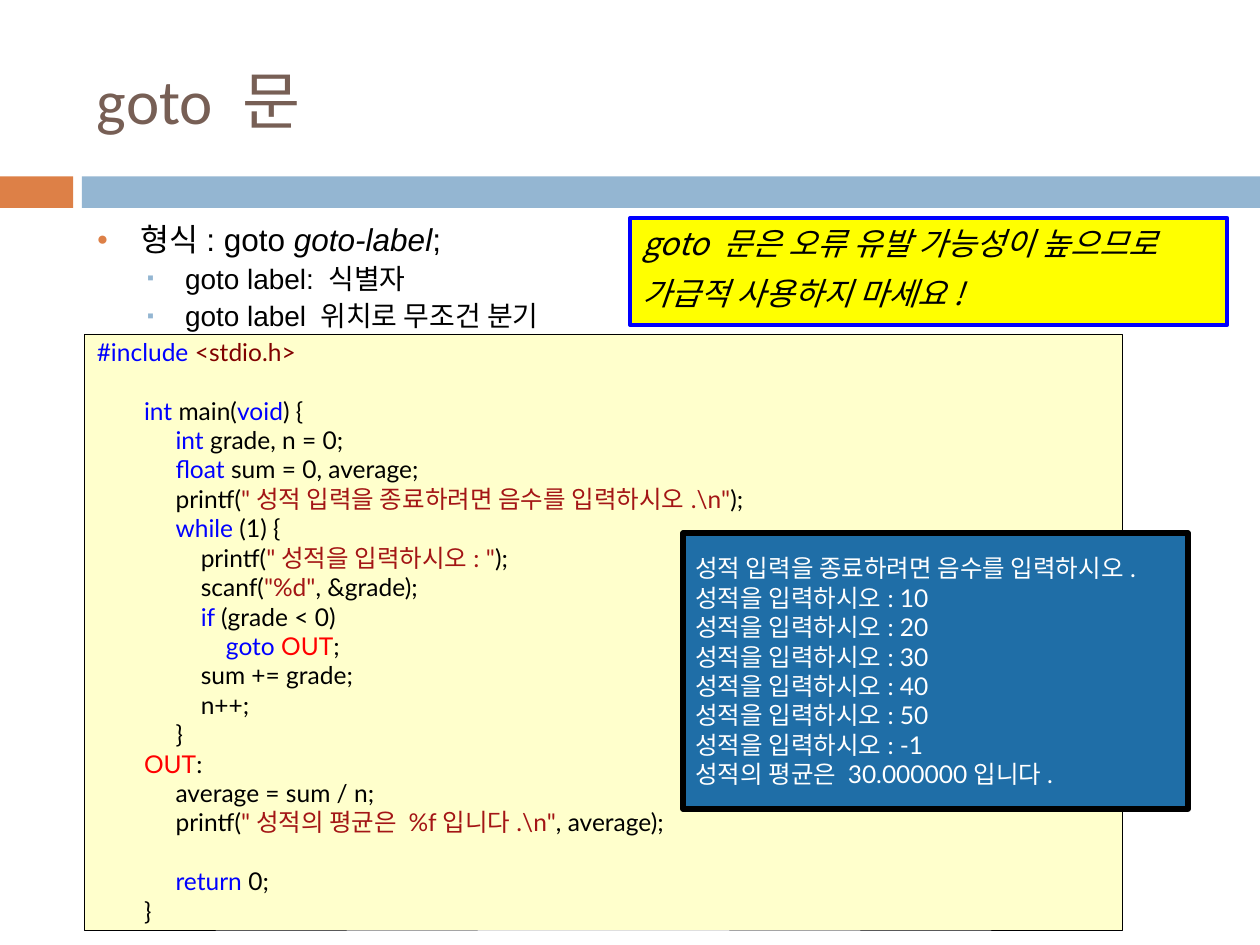
import dataclasses

import lxml.etree
import pptx
import pptx.dml.color
import pptx.enum.shapes
import pptx.enum.text
import pptx.oxml.ns
import pptx.util

COLUMNS, ROWS = 100, 75
CELL = pptx.util.Inches(0.1)
ANCHOR = pptx.enum.text.MSO_ANCHOR


@dataclasses.dataclass(frozen=True)
class Theme:
    orange: str = "DD8047"
    sky: str = "94B6D2"
    brown: str = "775F55"
    cream: str = "FFFFCC"
    yellow: str = "FFFF00"
    console: str = "1F6EA7"
    black: str = "000000"
    white: str = "FFFFFF"
    keyword: str = "0000FF"
    header: str = "800000"
    string: str = "A31515"
    label: str = "FF0000"
    title_size: float = 36
    text_size: float = 18
    sub_size: float = 16
    code_size: float = 14
    title_font: str = "Calibri"
    body_font: str = "Arial"
    code_font: str = "Lato"
    korean_font: str = "Noto Sans CJK KR"


THEME = Theme()
K, S, L = THEME.keyword, THEME.string, THEME.label
CODE_PITCH = 16.8
CODE_LEADING = 15

# Each line: source column, then coloured pieces; None is an empty line.
CODE = [
    (0, ("int", K), " main(", ("void", K), ") {"),
    (5, ("int", K), " grade, n = 0;"),
    (5, ("float", K), " sum = 0, average;"),
    (5, "printf(", ("\"성적 입력을 종료하려면 음수를 입력하시오.\\n\"", S), ");"),
    (5, ("while", K), " (1) {"),
    (9, "printf(", ("\"성적을 입력하시오: \"", S), ");"),
    (9, "scanf(", ("\"%d\"", S), ", &grade);"),
    (9, ("if ", K), "(grade < 0)"),
    (13, ("goto ", K), ("OUT", L), ";"),
    (9, "sum += grade;"),
    (9, "n++;"),
    (5, "}"),
    (0, ("OUT", L), ":"),
    (5, "average = sum / n;"),
    (5, "printf(", ("\"성적의 평균은 %f입니다.\\n\"", S), ", average);"),
    None,
    (5, ("return", K), " 0;"),
    (0, "}"),
]
CONSOLE = [
    "성적 입력을 종료하려면 음수를 입력하시오.",
    *(f"성적을 입력하시오: {grade}" for grade in (10, 20, 30, 40, 50, -1)),
    "성적의 평균은 30.000000입니다.",
]


def rgb(color):
    return pptx.dml.color.RGBColor.from_string(color)


def cells(*counts):
    return [round(count * CELL) for count in counts]


def apply(target, formats):
    for attribute, value in formats.items():
        setattr(target, attribute, value)


def add_panel(slide, area, fill, line=None, line_width=0):
    panel = slide.shapes.add_shape(
        pptx.enum.shapes.MSO_SHAPE.RECTANGLE, *cells(*area))
    panel.shadow.inherit = False
    panel.fill.solid()
    panel.fill.fore_color.rgb = rgb(fill)
    if line:
        panel.line.color.rgb = rgb(line)
        panel.line.width = pptx.util.Pt(line_width)
    else:
        panel.line.fill.background()
    return panel.text_frame


def add_text_area(slide, area):
    return slide.shapes.add_textbox(*cells(*area)).text_frame


def write(frame, paragraphs, anchor=ANCHOR.TOP):
    """Fill a frame with (pieces, font, paragraph format, indent, bullet)."""
    apply(frame, {"word_wrap": True, "vertical_anchor": anchor})
    for number, (pieces, font, spacing, indent, bullet) in enumerate(paragraphs):
        paragraph = frame.add_paragraph() if number else frame.paragraphs[0]
        paragraph.alignment = pptx.enum.text.PP_ALIGN.LEFT
        apply(paragraph, {key: pptx.util.Pt(value)
                          for key, value in spacing.items()})
        set_indent(paragraph, *indent)
        if bullet:
            add_bullet(paragraph, *bullet)
        for piece in pieces:
            add_run(paragraph, piece, **font)


def set_indent(paragraph, left=0, first=0):
    properties = paragraph._p.get_or_add_pPr()
    properties.set("marL", str(round(left * CELL)))
    properties.set("indent", str(round(first * CELL)))


def add_bullet(paragraph, mark, color, percent):
    properties = paragraph._p.get_or_add_pPr()

    def add(parent, tag, **values):
        child = lxml.etree.SubElement(parent, pptx.oxml.ns.qn(tag))
        for key, value in values.items():
            child.set(key, value)
        return child

    add(add(properties, "a:buClr"), "a:srgbClr", val=color)
    add(properties, "a:buSzPct", val=str(percent * 1000))
    add(properties, "a:buFont", typeface=THEME.body_font)
    add(properties, "a:buChar", char=mark)


def add_run(paragraph, piece, name, size, color=THEME.black, italic=False):
    """A piece is a text, or a text with its own colour."""
    text, color = (piece, color) if isinstance(piece, str) else piece
    run = paragraph.add_run()
    run.text = text
    apply(run.font, {"name": name, "size": pptx.util.Pt(size), "italic": italic})
    run.font.color.rgb = rgb(color)
    east_asian = lxml.etree.SubElement(
        run._r.get_or_add_rPr(), pptx.oxml.ns.qn("a:ea"))
    east_asian.set("typeface", THEME.korean_font)


def add_title(slide):
    font = {"name": THEME.title_font, "size": THEME.title_size,
            "color": THEME.brown}
    write(add_text_area(slide, (6.7, 2.5, 89.2, 10.8)),
          [(["goto 문"], font, {}, (), None)], ANCHOR.MIDDLE)


def add_code(slide):
    font = {"name": THEME.code_font, "size": THEME.code_size}
    gap = CODE_PITCH - CODE_LEADING
    include = [("#include ", K), ("<stdio.h>", THEME.header)]
    paragraphs = [(include, font, {"line_spacing": CODE_LEADING}, (), None)]
    before = gap + CODE_PITCH
    for line in CODE:
        if line is None:
            before += CODE_PITCH
            continue
        column, *pieces = line
        spacing = {"line_spacing": CODE_LEADING, "space_before": before}
        paragraphs.append((pieces, font, spacing, (3.75 + column / 2,), None))
        before = gap
    write(add_panel(slide, (6.7, 26.5, 82.4, 47.3), THEME.cream,
                    THEME.black, 0.25), paragraphs)


def add_console(slide):
    font = {"name": THEME.code_font, "size": THEME.code_size,
            "color": THEME.white}
    spacing = {"line_spacing": CODE_PITCH}
    write(add_panel(slide, (54.2, 42.3, 40.1, 21.9), THEME.console,
                    THEME.black, 3),
          [([line], font, spacing, (), None) for line in CONSOLE],
          ANCHOR.MIDDLE)


def add_syntax(slide):
    main_font = {"name": THEME.body_font, "size": THEME.text_size}
    sub_font = {**main_font, "size": THEME.sub_size}
    frame = add_text_area(slide, (6.7, 16.9, 40.8, 10.8))
    write(frame, [
        (["형식: goto ", "goto-label", ";"], main_font, {"line_spacing": 22},
         (3.5, -3.5), ("●", THEME.orange, 60)),
        *(([note], sub_font, {"line_spacing": 21.4}, (7, -3),
           ("▪", THEME.sky, 70))
          for note in ("goto label: 식별자", "goto label 위치로 무조건 분기")),
    ])
    frame.paragraphs[0].runs[1].font.italic = True


def add_warning(slide):
    font = {"name": THEME.korean_font, "size": THEME.text_size, "italic": True}
    lines = ("goto 문은 오류 유발 가능성이 높으므로", "가급적 사용하지 마세요!")
    write(add_panel(slide, (50, 17.3, 47.4, 8.5), THEME.yellow, K, 2.25),
          [([line], font, {"line_spacing": 21.6, "space_before": 7 * number},
            (), None) for number, line in enumerate(lines)])


def main():
    deck = pptx.Presentation()
    deck.slide_width, deck.slide_height = cells(COLUMNS, ROWS)
    slide = deck.slides.add_slide(deck.slide_layouts[6])
    add_panel(slide, (0, 14, 5.8, 2.5), THEME.orange)
    add_panel(slide, (6.5, 14, COLUMNS - 6.5, 2.5), THEME.sky)
    for add_part in (add_title, add_code, add_console, add_syntax, add_warning):
        add_part(slide)
    deck.save("out.pptx")


if __name__ == "__main__":
    main()
